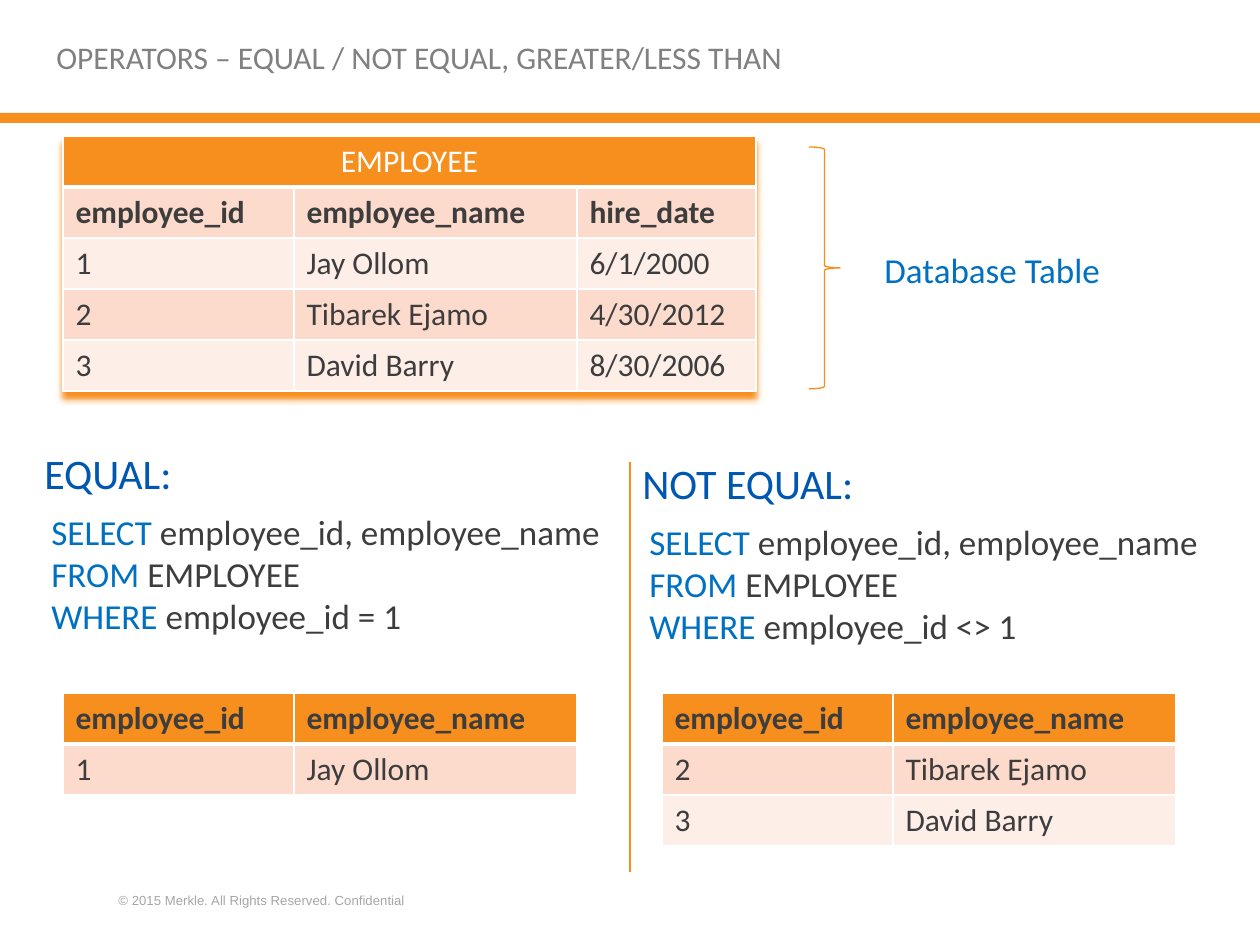
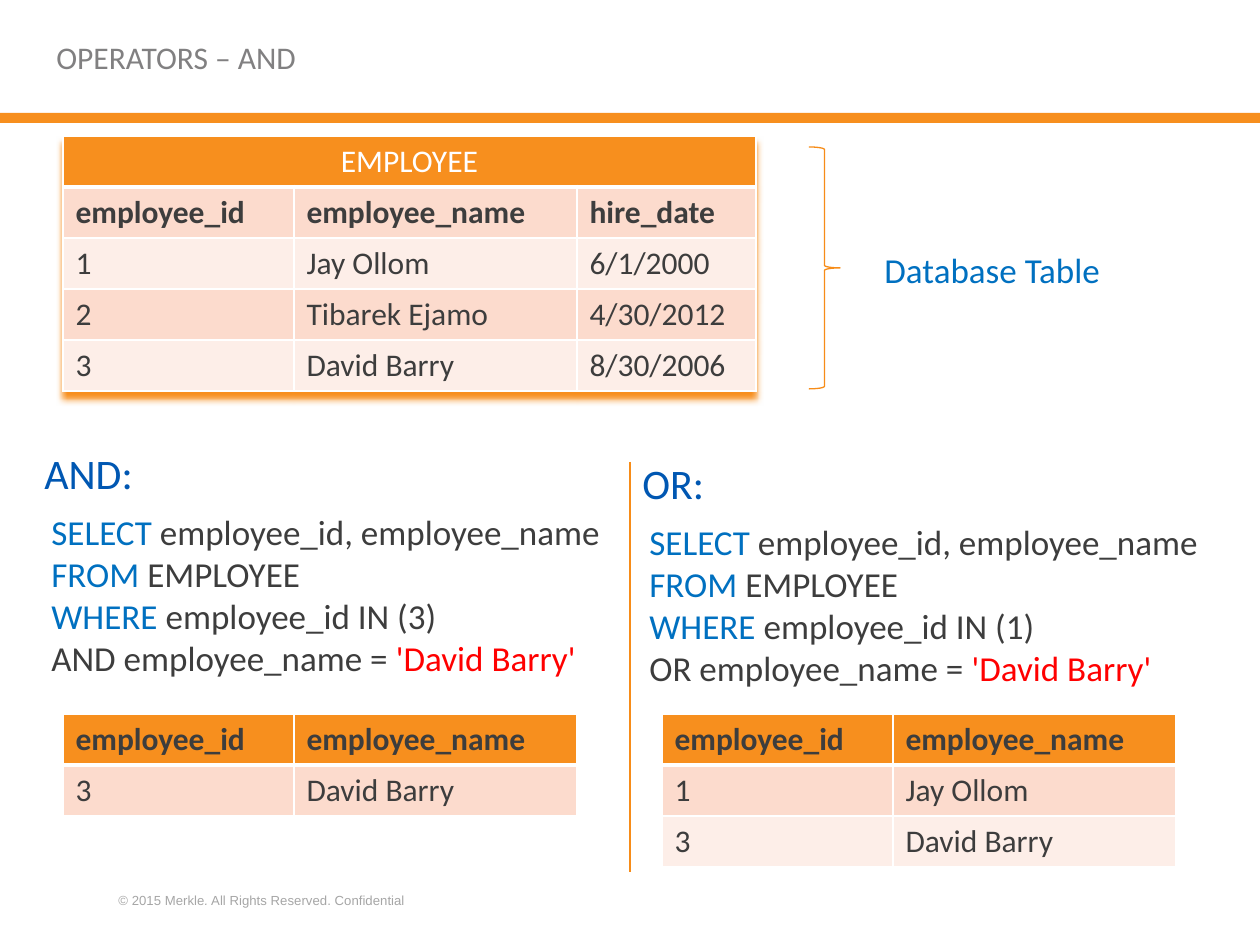
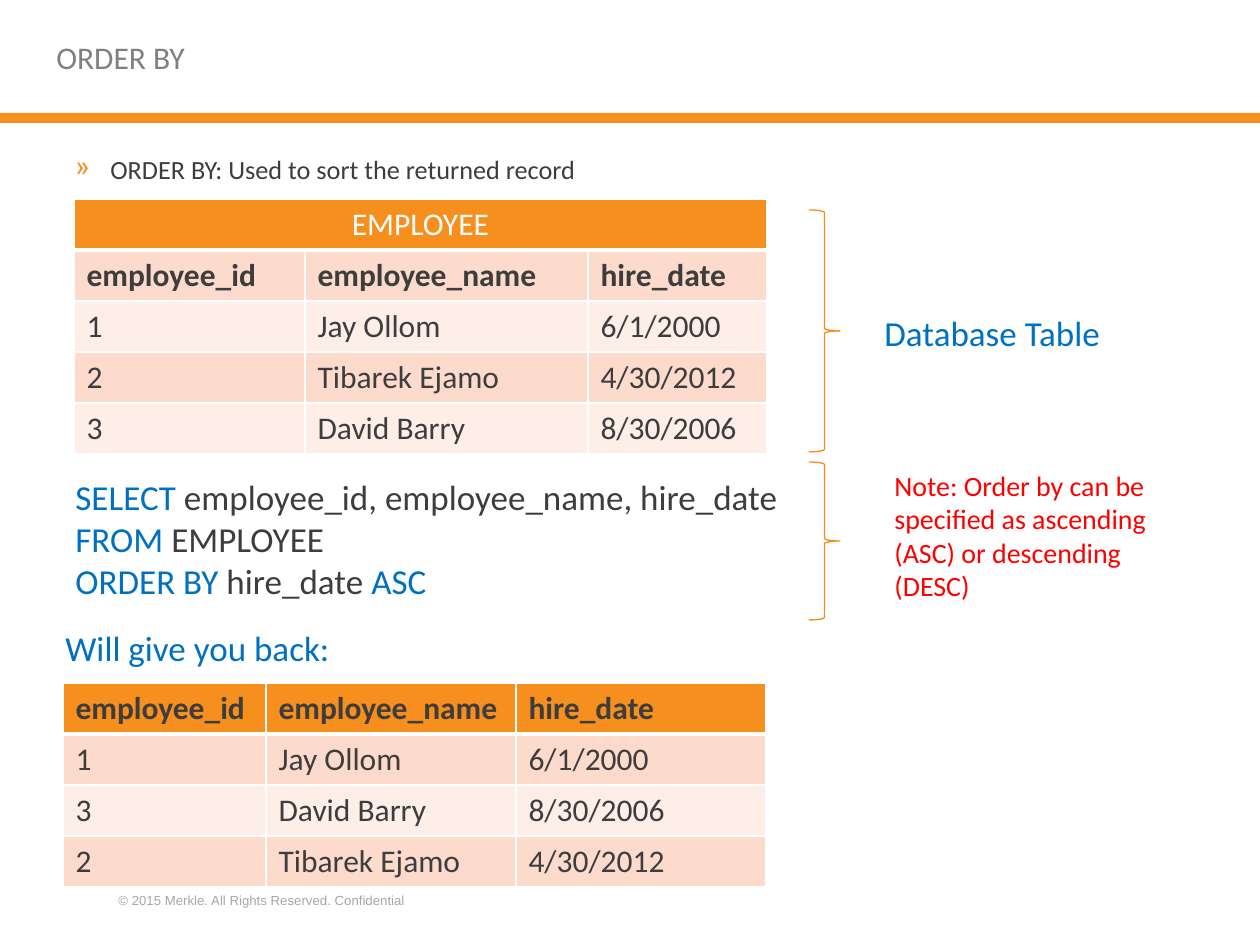
from lxml.etree import SubElement as Sub, Element
from pptx import Presentation
from pptx.dml.color import RGBColor as Rgb
from pptx.enum.shapes import MSO_CONNECTOR as Conn, MSO_SHAPE as Shape
from pptx.enum.text import MSO_ANCHOR as Anchor, MSO_AUTO_SIZE as Auto, PP_ALIGN as Align
from pptx.oxml.ns import qn
from pptx.util import Pt

COLORS = {
    "band": "F78F1E", "line": "F78C18", "white": "FFFFFF", "ink": "3D3D3D",
    "title": "818081", "foot": "A6A6A6", "head": "0057B2", "key": "0070C0",
    "red": "FF0000", "dark": "FCDBCD", "light": "FDEEE8",
}
STAFF = {"1": ("Jay Ollom", "6/1/2000"), "2": ("Tibarek Ejamo", "4/30/2012"),
         "3": ("David Barry", "8/30/2006")}
FIELDS = ("employee_id", "employee_name", "hire_date")
WIDTHS = (231, 283, 179)
ROW = 51


def px(n):
    return round(n * 914400 / 126)


def rgb(name):
    return Rgb.from_string(COLORS[name])


# Text
def write(frame, paras, size=18, color="ink", font="Calibri", bold=False,
          align=None, hang=0, bullet=None):
    """Each paragraph is a string or a list of (text, color[, italic]) runs."""
    for i, para in enumerate([paras] if isinstance(paras, str) else paras):
        p = frame.paragraphs[0] if i == 0 else frame.add_paragraph()
        if align:
            p.alignment = align
        if hang:
            props = p._p.get_or_add_pPr()
            props.set("marL", str(px(hang)))
            props.set("indent", str(-px(hang)))
            if bullet:
                tint = Sub(props, qn("a:buClr"))
                Sub(tint, qn("a:srgbClr"), val=COLORS["band"])
                Sub(props, qn("a:buChar"), char=bullet)
        for part, tone, *slant in [(para, color)] if isinstance(para, str) else para:
            run = p.add_run()
            run.text = part
            face = run.font
            face.name, face.size, face.bold = font, Pt(size), bold
            face.color.rgb = rgb(tone)
            if slant:
                face.italic = slant[0]


def label(slide, x, y, w, h, paras, wrap=True, grow=False, mid=False, **form):
    frame = slide.shapes.add_textbox(px(x), px(y), px(w), px(h)).text_frame
    frame.word_wrap = wrap
    frame.auto_size = Auto.SHAPE_TO_FIT_TEXT if grow else Auto.NONE
    if mid:
        frame.vertical_anchor = Anchor.MIDDLE
    write(frame, paras, **form)


# Lines and shapes
def brace(slide, y, h):
    item = slide.shapes.add_shape(Shape.RIGHT_BRACE, px(809), px(y), px(31), px(h))
    item.shadow.inherit = False
    item.fill.background()
    item.line.color.rgb = rgb("line")
    item.line.width = Pt(0.75)


def split(slide):
    rule = slide.shapes.add_connector(Conn.STRAIGHT, px(630), px(462), px(630), px(872))
    rule.line.color.rgb = rgb("line")
    rule.line.width = Pt(0.75)
    Sub(rule._element.spPr, qn("a:effectLst"))


# Tables
def edge(cell, head):
    props = cell._tc.get_or_add_tcPr()
    for side in "LRTB":
        wide = 3 if head and side == "B" else 1
        line = Sub(props, qn("a:ln" + side), w=str(Pt(wide)))
        fill = Sub(line, qn("a:solidFill"))
        Sub(fill, qn("a:srgbClr"), val=COLORS["white"])


def shade(table):
    effect = Element(qn("a:effectLst"))
    glow = Sub(effect, qn("a:outerShdw"), blurRad="50800", dist="50800",
               dir="5400000", algn="ctr", rotWithShape="0")
    Sub(glow, qn("a:srgbClr"), val=COLORS["band"])
    table._tbl.tblPr.insert(0, effect)


def grid(slide, x, y, ids, widths, title=None, shadow=False):
    cols = len(widths)
    rows = [FIELDS[:cols]] + [(key, *STAFF[key])[:cols] for key in ids]
    if title:
        rows.insert(0, (title,) + ("",) * (cols - 1))
    table = slide.shapes.add_table(len(rows), cols, px(x), px(y),
                                   px(sum(widths)), px(ROW * len(rows))).table
    for col, wide in zip(table.columns, widths):
        col.width = px(wide)
    for r, row in enumerate(rows):
        table.rows[r].height = px(ROW)
        top = bool(title) and r == 0
        for c, value in enumerate(row):
            cell = table.cell(r, c)
            edge(cell, r == 0)
            cell.fill.solid()
            cell.fill.fore_color.rgb = rgb("band" if r == 0 else "dark" if r % 2 else "light")
            if value:
                write(cell.text_frame, value, color="white" if top else "ink",
                      bold=r == (1 if title else 0), align=Align.CENTER if top else None)
    if title:
        table.cell(0, 0).merge(table.cell(0, cols - 1))
    if shadow:
        shade(table)


# Parts shared by the slides
def start(deck, title):
    slide = deck.slides.add_slide(deck.slide_layouts[6])
    band = slide.shapes.add_shape(Shape.RECTANGLE, 0, px(113), px(1260), px(10))
    band.shadow.inherit = False
    band.fill.solid()
    band.fill.fore_color.rgb = rgb("band")
    band.line.fill.background()
    label(slide, 106, 886, 519, 29,
          [[("© 2015 Merkle", "foot"), (".", "foot", True),
            (" All Rights Reserved. Confidential", "foot", False)]],
          size=7.5, font="Arial", grow=True)
    label(slide, 44, 0, 1169, 113, title, color="title", mid=True)
    return slide


def source(slide, x, y, shadow=False):
    grid(slide, x, y, "123", WIDTHS, title="EMPLOYEE", shadow=shadow)
    brace(slide, y + 11, 242)
    label(slide, 872, y + 106, 243, 55, "Database Table", size=20, color="key",
          wrap=False, grow=True)


def query(slide, x, y, w, fields, *tail):
    lines = [[("SELECT ", "key"), (fields, "ink")],
             [("FROM ", "key"), ("EMPLOYEE", "ink")], *tail]
    label(slide, x, y, w, 14 + 42 * len(lines), lines, size=20, grow=True)


def case(slide, x, y, head, test, extra, left, top, ids):
    label(slide, x, y, 577, 73, head, size=24, color="head", hang=48)
    tail = [[("WHERE ", "key"), (test, "ink")]]
    if extra:
        tail.append([(extra, "ink"), ("'David Barry'", "red")])
    query(slide, x + 7, y + 63, 591, "employee_id, employee_name", *tail)
    grid(slide, left, top, ids, WIDTHS[:2])


def compare(deck, title, top, first, second):
    slide = start(deck, title)
    source(slide, 63, 136, shadow=True)
    split(slide)
    for (x, y, left), (head, test, extra, ids) in zip(
            [(32, 441, 63), (630, 451, 662)], [first, second]):
        case(slide, x, y, head, test, extra, left, top, ids)


def order(deck):
    slide = start(deck, "ORDER BY")
    label(slide, 63, 138, 1134, 63, "ORDER BY: Used to sort the returned record",
          size=15, hang=35, bullet="»", mid=True)
    source(slide, 74, 199)
    query(slide, 63, 469, 735, "employee_id, employee_name, hire_date",
          [("ORDER BY ", "key"), ("hire_date ", "ink"), ("ASC", "key")])
    brace(slide, 462, 158)
    label(slide, 882, 462, 284, 149,
          "Note: Order by can be specified as ascending (ASC) or descending (DESC)",
          size=16, color="red", grow=True)
    label(slide, 53, 620, 318, 55, "Will give you back:", size=20, color="key",
          wrap=False, grow=True)
    grid(slide, 63, 683, "132", (203, 250, 250))


def main():
    deck = Presentation()
    deck.slide_width, deck.slide_height = px(1260), px(945)
    compare(deck, "OPERATORS – EQUAL / NOT EQUAL, GREATER/LESS THAN", 693,
            ("EQUAL:", "employee_id = 1", None, "1"),
            ("NOT EQUAL:", "employee_id <> 1", None, "23"))
    compare(deck, "OPERATORS – AND", 714,
            ("AND:", "employee_id IN (3)", "AND employee_name = ", "3"),
            ("OR:", "employee_id IN (1)", "OR employee_name = ", "13"))
    order(deck)
    deck.save("out.pptx")


if __name__ == "__main__":
    main()
